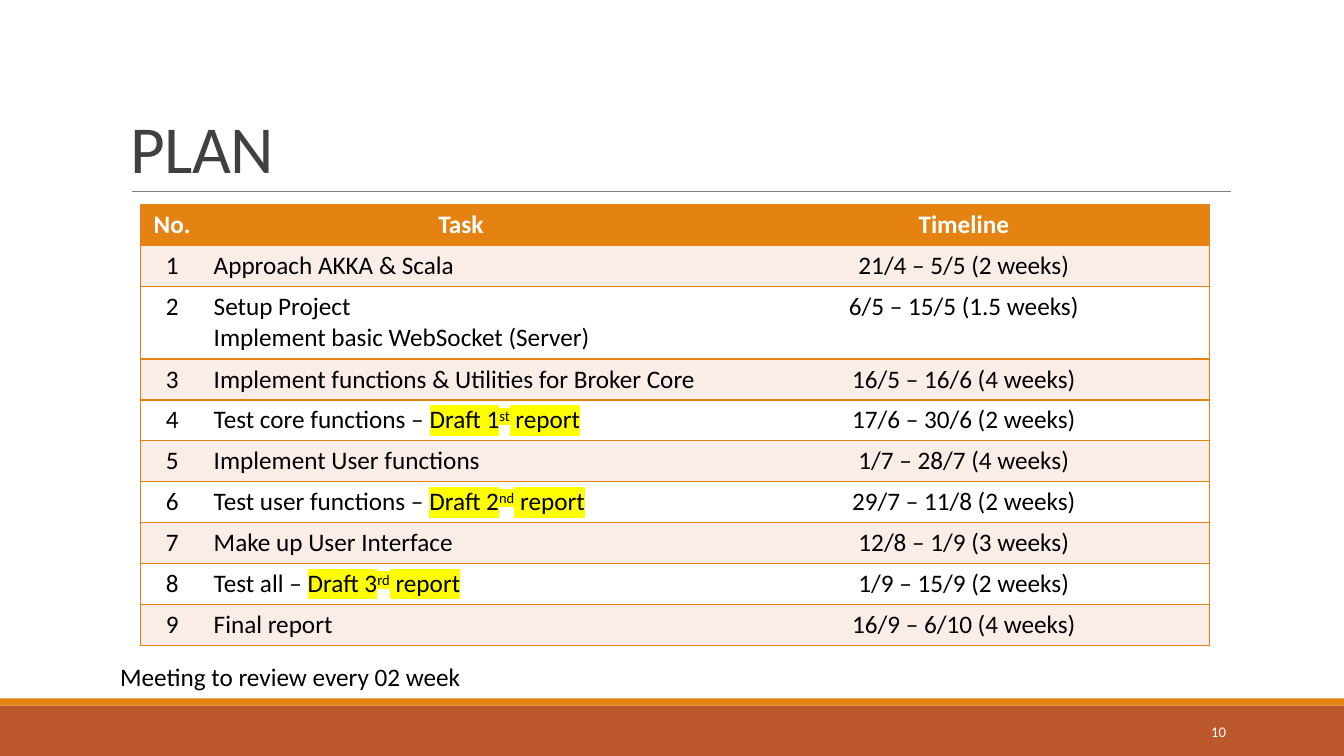
from dataclasses import dataclass

from lxml import etree
from pptx import Presentation, util as u
from pptx.dml.color import RGBColor
from pptx.enum import shapes as s, text as t
from pptx.oxml import ns

EMU_PER_PX = 9525
FONT = "Calibri"
COLORS = {
    "orange": "E48312",
    "rust": "BD582C",
    "band": "FAEDE7",
    "white": "FFFFFF",
    "black": "000000",
    "title": "404040",
    "rule": "808080",
    "highlight": "FFFF00",
}


@dataclass(frozen=True)
class Box:
    left: int
    top: int
    width: int
    height: int

    def emu(self) -> list[u.Emu]:
        return [px(n) for n in (self.left, self.top, self.width, self.height)]


@dataclass(frozen=True)
class Task:
    name: str
    timeline: str
    draft: str = ""
    ordinal: str = ""


TASKS = [
    Task("Approach AKKA & Scala", "21/4 – 5/5 (2 weeks)"),
    Task("Setup Project\nImplement basic WebSocket (Server)", "6/5 – 15/5 (1.5 weeks)"),
    Task("Implement functions & Utilities for Broker Core", "16/5 – 16/6 (4 weeks)"),
    Task("Test core functions – ", "17/6 – 30/6 (2 weeks)", "Draft 1", "st"),
    Task("Implement User functions", "1/7 – 28/7 (4 weeks)"),
    Task("Test user functions – ", "29/7 – 11/8 (2 weeks)", "Draft 2", "nd"),
    Task("Make up User Interface", "12/8 – 1/9 (3 weeks)"),
    Task("Test all – ", "1/9 – 15/9 (2 weeks)", "Draft 3", "rd"),
    Task("Final report", "16/9 – 6/10 (4 weeks)"),
]
HEADERS = ["No.", "Task", "Timeline"]
COLUMN_WIDTHS = [60, 490, 468]
ROW_HEIGHT, TWO_LINE_HEIGHT = 39, 69


def px(n: int) -> u.Emu:
    return u.Emu(n * EMU_PER_PX)


def rgb(name: str) -> RGBColor:
    return RGBColor.from_string(COLORS[name])


def format_text(frame, size: float, color: str, align=t.PP_ALIGN.LEFT, bold=False) -> None:
    for paragraph in frame.paragraphs:
        paragraph.alignment = align
        font = paragraph.font
        font.name, font.size, font.bold = FONT, u.Pt(size), bold
        font.color.rgb = rgb(color)


def add_bar(slide, box: Box, color: str) -> None:
    bar = slide.shapes.add_shape(s.MSO_SHAPE.RECTANGLE, *box.emu())
    bar.shadow.inherit = False
    bar.fill.solid()
    bar.fill.fore_color.rgb = rgb(color)
    bar.line.fill.background()


def add_title_rule(slide, left: int, right: int, y: int) -> None:
    rule = slide.shapes.add_connector(s.MSO_CONNECTOR.STRAIGHT, px(left), px(y), px(right), px(y))
    rule.line.color.rgb = rgb("rule")
    rule.line.width = u.Pt(0.5)
    etree.SubElement(rule._element.spPr, ns.qn("a:effectLst"))


def set_title(slide, box: Box, wording: str) -> None:
    title = slide.shapes.title
    title.left, title.top, title.width, title.height = box.emu()
    frame = title.text_frame
    frame.text = wording
    frame.vertical_anchor = t.MSO_ANCHOR.BOTTOM
    frame.auto_size = t.MSO_AUTO_SIZE.NONE
    format_text(frame, 48, "title")
    paragraph = frame.paragraphs[0]
    paragraph.line_spacing = 0.85
    paragraph.runs[0]._r.get_or_add_rPr().set("spc", "-50")


def add_label(slide, box: Box, wording: str, size: float, color: str,
              align=t.PP_ALIGN.LEFT, anchor=t.MSO_ANCHOR.TOP) -> None:
    frame = slide.shapes.add_textbox(*box.emu()).text_frame
    frame.text = wording
    frame.word_wrap = False
    frame.vertical_anchor = anchor
    format_text(frame, size, color, align)


def add_draft_note(paragraph, task: Task) -> None:
    """Append the highlighted report name with its raised ordinal."""
    for part in (task.draft, task.ordinal, " report"):
        run = paragraph.add_run()
        run.text = part
        properties = run._r.get_or_add_rPr()
        if part == task.ordinal:
            properties.set("baseline", "30000")
        highlight = etree.SubElement(properties, ns.qn("a:highlight"))
        etree.SubElement(highlight, ns.qn("a:srgbClr"), val=COLORS["highlight"])


def set_borders(cell, sides: str) -> None:
    """Draw the sides named by letter (L, R, T, B) and clear the others."""
    properties = cell._tc.get_or_add_tcPr()
    for side in "LRTB":
        line = etree.SubElement(properties, ns.qn(f"a:ln{side}"), w=str(u.Pt(1)))
        if side in sides:
            fill = etree.SubElement(line, ns.qn("a:solidFill"))
            etree.SubElement(fill, ns.qn("a:srgbClr"), val=COLORS["orange"])
        else:
            etree.SubElement(line, ns.qn("a:noFill"))


def fill_cell(cell, wording: str, column: int, row: int) -> None:
    header = row == 0
    cell.text = wording
    left = column == 1 and not header
    format_text(cell.text_frame, 18, "white" if header else "black",
                t.PP_ALIGN.LEFT if left else t.PP_ALIGN.CENTER, header)
    set_borders(cell, ("LTB", "TB", "RTB")[column])
    cell.fill.solid()
    cell.fill.fore_color.rgb = rgb("orange" if header else "band" if row % 2 else "white")


def add_plan(slide, left: int, top: int) -> None:
    rows = [HEADERS] + [[str(n), task.name, task.timeline] for n, task in enumerate(TASKS, 1)]
    heights = [TWO_LINE_HEIGHT if "\n" in row[1] else ROW_HEIGHT for row in rows]
    box = Box(left, top, sum(COLUMN_WIDTHS), sum(heights))
    plan = slide.shapes.add_table(len(rows), len(HEADERS), *box.emu()).table
    plan.first_row = plan.horz_banding = False
    for column, width in zip(plan.columns, COLUMN_WIDTHS):
        column.width = px(width)
    for r, (row, height) in enumerate(zip(rows, heights)):
        plan.rows[r].height = px(height)
        for c, wording in enumerate(row):
            fill_cell(plan.cell(r, c), wording, c, r)
    for r, task in enumerate(TASKS, 1):
        if task.draft:
            add_draft_note(plan.cell(r, 1).text_frame.paragraphs[0], task)


def main() -> None:
    deck = Presentation()
    deck.slide_width, deck.slide_height = px(1280), px(720)
    slide = deck.slides.add_slide(deck.slide_layouts.get_by_name("Title Only"))
    add_bar(slide, Box(0, 672, 1280, 48), "rust")
    add_bar(slide, Box(0, 665, 1280, 7), "orange")
    add_title_rule(slide, 126, 1172, 182)
    set_title(slide, Box(115, 30, 1056, 153), "PLAN")
    add_plan(slide, 134, 195)
    add_label(slide, Box(1040, 678, 137, 38), "10", 10.5, "white",
              t.PP_ALIGN.RIGHT, t.MSO_ANCHOR.MIDDLE)
    add_label(slide, Box(105, 625, 347, 38), "Meeting to review every 02 week", 18, "black")
    deck.save("out.pptx")


if __name__ == "__main__":
    main()
